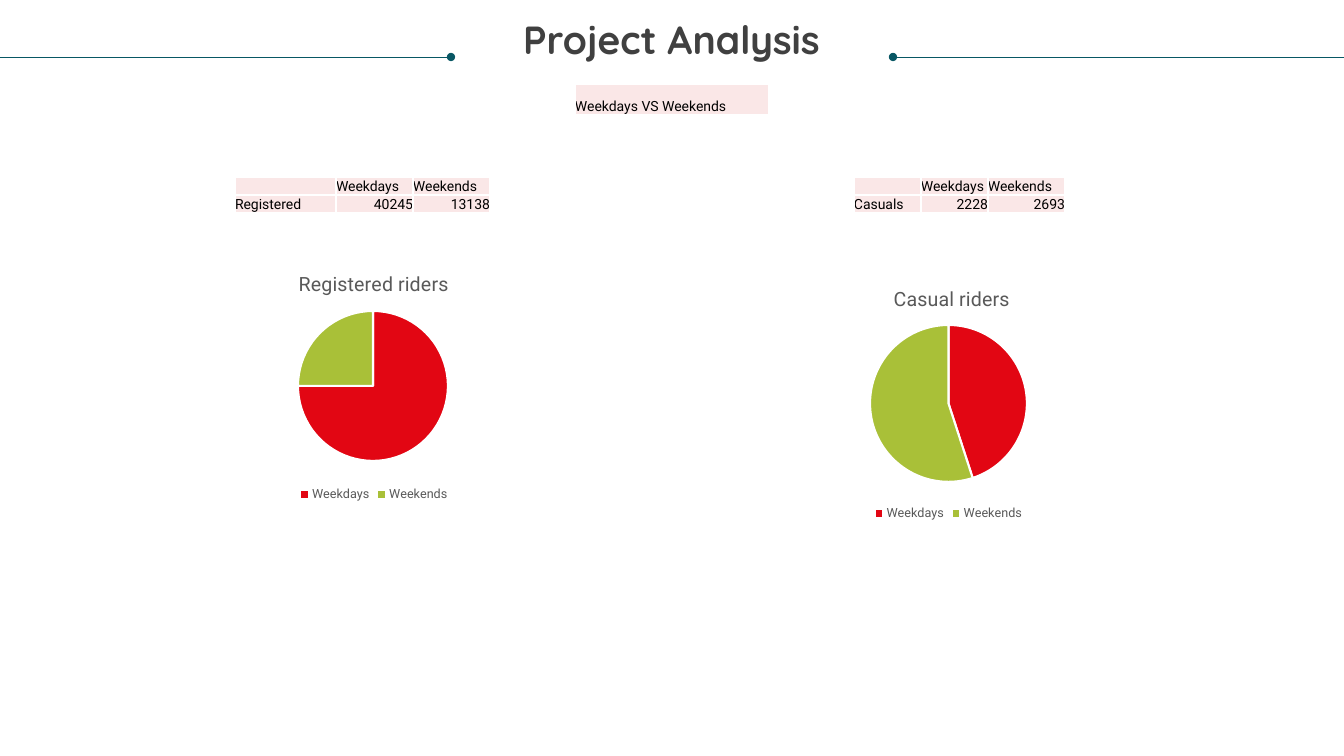
"""Build the Project Analysis slide comparing weekday and weekend riders."""
from lxml import etree
from pptx import Presentation
from pptx.chart.data import CategoryChartData
from pptx.dml.color import RGBColor
from pptx.enum.chart import XL_CHART_TYPE, XL_LEGEND_POSITION
from pptx.enum.shapes import MSO_CONNECTOR
from pptx.enum.text import MSO_ANCHOR, PP_ALIGN
from pptx.oxml import parse_xml
from pptx.oxml.ns import nsdecls, qn
from pptx.util import Pt

PIE, BOTTOM_LEGEND = XL_CHART_TYPE.PIE, XL_LEGEND_POSITION.BOTTOM
STRAIGHT = MSO_CONNECTOR.STRAIGHT
TOP, BOTTOM = MSO_ANCHOR.TOP, MSO_ANCHOR.BOTTOM
LEFT, CENTER, RIGHT = PP_ALIGN.LEFT, PP_ALIGN.CENTER, PP_ALIGN.RIGHT

COLORS = {"rule": "085764", "title": "404040", "ink": "000000", "muted": "595959",
          "cell": "FAE7E7", "white": "FFFFFF", "Weekdays": "E20613", "Weekends": "A9C038"}
HEADING_FONT, BODY_FONT = "Quicksand", "Roboto"
SLIDE_W, SLIDE_H = 1344, 756
SCALE = 12192000 / SLIDE_W
DAYS = ["Weekdays", "Weekends"]

TITLE = ("Project Analysis", (25, 21, 1293, 86))
RULE_Y = 57
RULES = [(893, SLIDE_W), (451, 0)]
TABLES = [
    ((575, 84), [194], 31, [["Weekdays VS Weekends"]]),
    ((235, 177), [101, 77, 77], 18, [["", *DAYS], ["Registered", "40245", "13138"]]),
    ((854, 177), [67, 67, 77], 18, [["", *DAYS], ["Casuals", "2228", "2693"]]),
]
PIES = [
    ("Registered riders", (75, 25), (203, 250, 342, 256), (295, 267), (298, 311, 150)),
    ("Casual riders", (45, 55), (744, 265, 409, 260), (890, 282), (870, 325, 157)),
]


def px(length):
    return round(length * SCALE)


def color(name):
    return RGBColor.from_string(COLORS[name])


def style(font, size, color_name, face=BODY_FONT, bold=False):
    font.size, font.name, font.bold = Pt(size), face, bold
    font.color.rgb = color(color_name)


def add_title(slide, text, box):
    frame = slide.shapes.add_textbox(*map(px, box)).text_frame
    frame.word_wrap, frame.vertical_anchor = True, TOP
    frame.margin_left = frame.margin_right = frame.margin_top = frame.margin_bottom = 0
    frame.text = text
    heading = frame.paragraphs[0]
    heading.alignment, heading.line_spacing = CENTER, 0.9
    style(heading.runs[0].font, 28, "title", HEADING_FONT, True)


def add_rule(slide, dot_x, edge_x):
    rule = slide.shapes.add_connector(STRAIGHT, px(dot_x), px(RULE_Y), px(edge_x), px(RULE_Y))
    rule.line.color.rgb, rule.line.width = color("rule"), Pt(0.5)
    etree.SubElement(rule.line._get_or_add_ln(), qn("a:headEnd"), type="oval")
    etree.SubElement(rule._element.spPr, qn("a:effectLst"))


def fill_cell(cell, text):
    cell.margin_left = cell.margin_right = cell.margin_top = cell.margin_bottom = 0
    cell.vertical_anchor = BOTTOM
    cell.text = text
    line = cell.text_frame.paragraphs[0]
    line.alignment = RIGHT if text.isdigit() else LEFT
    for run in line.runs:
        style(run.font, 10, "ink")
    if not text:
        etree.SubElement(line._p, qn("a:endParaRPr"), sz="1000")
    properties = cell._tc.get_or_add_tcPr()
    for side in ("lnL", "lnR", "lnT", "lnB"):
        properties.append(parse_xml(
            f'<a:{side} {nsdecls("a")} w="12700"><a:solidFill>'
            f'<a:srgbClr val="{COLORS["white"]}"/></a:solidFill></a:{side}>'))
    cell.fill.solid()
    cell.fill.fore_color.rgb = color("cell")


def add_rider_table(slide, corner, widths, row_height, rows):
    size = (sum(widths), row_height * len(rows))
    table = slide.shapes.add_table(len(rows), len(widths), *map(px, corner + size)).table
    for column, width in zip(table.columns, widths):
        column.width = px(width)
    for r, row in enumerate(rows):
        table.rows[r].height = px(row_height)
        for c, text in enumerate(row):
            fill_cell(table.cell(r, c), text)


def layout(**settings):
    entries = "".join(f'<c:{key} val="{value}"/>' for key, value in settings.items())
    return parse_xml(f'<c:layout {nsdecls("c")}><c:manualLayout>{entries}'
                     '</c:manualLayout></c:layout>')


def place(parent, new_layout, index):
    for old in parent.findall(qn("c:layout")):
        parent.remove(old)
    parent.insert(index, new_layout)


def add_pie(slide, title, shares, box, title_at, pie_at):
    data = CategoryChartData()
    data.categories = DAYS
    data.add_series("Series 1", shares)
    chart = slide.shapes.add_chart(PIE, *map(px, box), data).chart
    style(chart.font, 10, "ink")
    chart.has_title = True
    chart.chart_title.text_frame.text = title
    style(chart.chart_title.text_frame.paragraphs[0].runs[0].font, 14, "muted")
    chart.chart_title.include_in_layout = False
    chart.has_legend = True
    chart.legend.position, chart.legend.include_in_layout = BOTTOM_LEGEND, False
    style(chart.legend.font, 9, "muted")

    plot = chart.plots[0]
    plot.vary_by_categories = True
    for i, day in enumerate(DAYS):
        slice_format = plot.series[0].points[i].format
        slice_format.fill.solid()
        slice_format.fill.fore_color.rgb = color(day)
        slice_format.line.color.rgb, slice_format.line.width = color("white"), Pt(1.5)

    left, top, width, height = box
    x, y, diameter = pie_at
    title_layout = layout(xMode="edge", yMode="edge",
                          x=round((title_at[0] - left) / width, 4),
                          y=round((title_at[1] - top) / height, 4))
    pie_layout = layout(layoutTarget="inner", xMode="edge", yMode="edge",
                        x=round((x - left) / width, 4), y=round((y - top) / height, 4),
                        w=round(diameter / width, 4), h=round(diameter / height, 4))
    place(chart.chart_title._element, title_layout, 1)
    place(chart._chartSpace.chart.plotArea, pie_layout, 0)


def main():
    deck = Presentation()
    deck.slide_width, deck.slide_height = px(SLIDE_W), px(SLIDE_H)
    slide = deck.slides.add_slide(deck.slide_layouts[6])
    add_title(slide, *TITLE)
    for rule in RULES:
        add_rule(slide, *rule)
    for table in TABLES:
        add_rider_table(slide, *table)
    for pie in PIES:
        add_pie(slide, *pie)
    deck.save("out.pptx")


if __name__ == "__main__":
    main()
